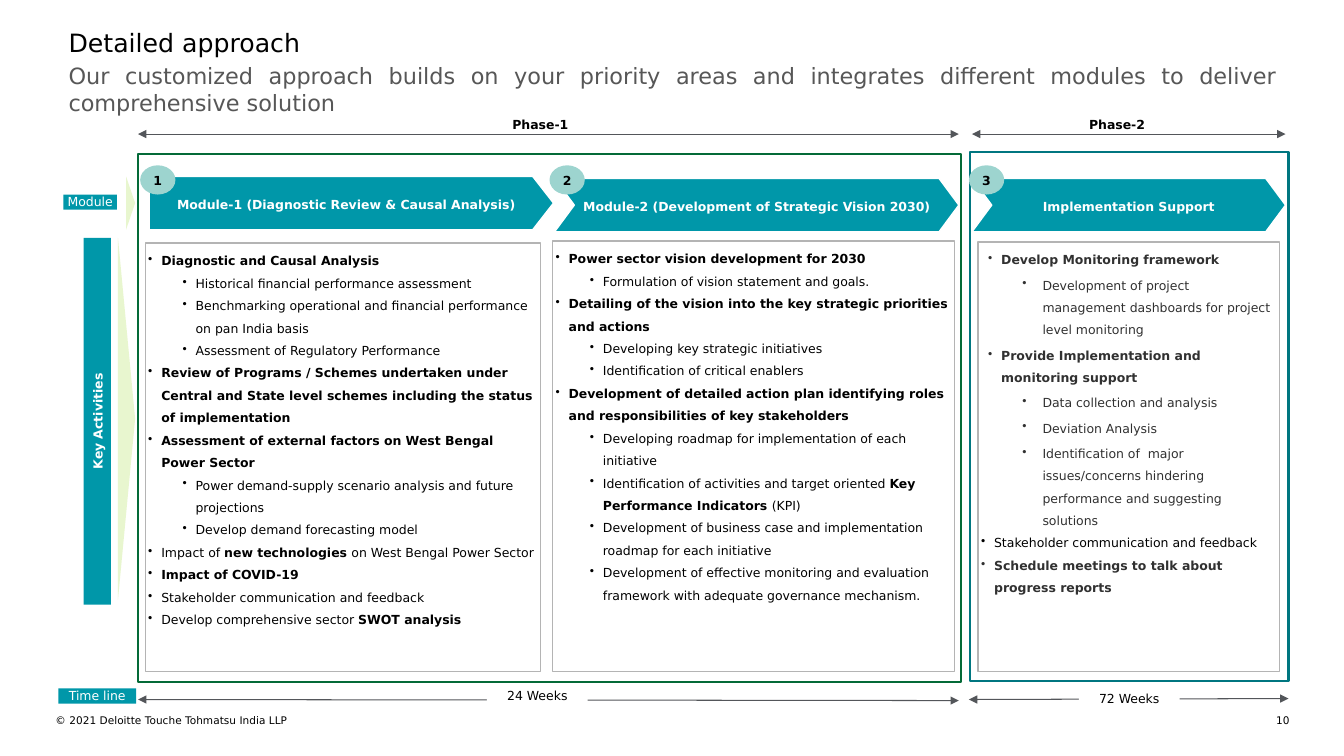
"""Builds the detailed approach slide: two phases, three modules and their activities."""
from lxml.etree import SubElement
from pptx import Presentation
from pptx.dml.color import RGBColor
from pptx.enum.shapes import MSO_CONNECTOR, MSO_SHAPE
from pptx.enum.text import MSO_ANCHOR, PP_ALIGN
from pptx.oxml.ns import qn
from pptx.util import Inches, Pt

FONT = "DejaVu Sans"
COLORS = {
    "teal": "0097A9", "deep_teal": "007680", "green": "046A38", "mint": "9DD4CF",
    "lime": "E8F6CF", "white": "FFFFFF", "black": "000000", "ink": "313131",
    "subtitle": "575757", "arrow": "53565A", "border": "B4B4B4",
}
# level, margin and hanging indent in grid units, space before in points, colour
BULLETS = {
    "main": (0, 1.3, 1.3, 0, "black"),
    "sub": (1, 4.7, 1.3, 0, "black"),
    "support": (0, 2, 1.3, 2, "ink"),
    "support_sub": (1, 6.1, 2, 2, "ink"),
    "meeting": (0, 1.3, 1.3, 0, "ink"),
}
DIAGNOSTIC = [
    ("main", "*Diagnostic and Causal Analysis*"),
    ("sub", "Historical financial performance assessment"),
    ("sub", "Benchmarking operational and financial performance on pan India basis"),
    ("sub", "Assessment of Regulatory Performance"),
    ("main", "*Review of Programs / Schemes undertaken under Central and State level "
             "schemes including the status of implementation*"),
    ("main", "*Assessment of external factors on West Bengal Power Sector*"),
    ("sub", "Power demand-supply scenario analysis and future projections"),
    ("sub", "Develop demand forecasting model"),
    ("main", "Impact of *new technologies *on West Bengal Power Sector"),
    ("main", "*Impact of COVID-19*"),
    ("main", "Stakeholder communication and feedback"),
    ("main", "Develop comprehensive sector *SWOT analysis*"),
]
VISION = [
    ("main", "*Power sector vision development for 2030*"),
    ("sub", "Formulation of vision statement and goals."),
    ("main", "*Detailing of the vision into the key strategic priorities and actions*"),
    ("sub", "Developing key strategic initiatives"),
    ("sub", "Identification of critical enablers"),
    ("main", "*Development of detailed action plan identifying roles and "
             "responsibilities of key stakeholders*"),
    ("sub", "Developing roadmap for implementation of each initiative"),
    ("sub", "Identification of activities and target oriented "
            "*Key Performance Indicators *(KPI)"),
    ("sub", "Development of business case and implementation roadmap for each initiative"),
    ("sub", "Development of effective monitoring and evaluation framework with "
            "adequate governance mechanism."),
]
SUPPORT = [
    ("support", "*Develop Monitoring framework*"),
    ("support_sub", "Development of project management dashboards for project level monitoring"),
    ("support", "*Provide Implementation and monitoring support*"),
    ("support_sub", "Data collection and analysis"),
    ("support_sub", "Deviation Analysis"),
    ("support_sub", "Identification of  major issues/concerns hindering performance "
                    "and suggesting solutions"),
    ("main", "Stakeholder communication and feedback"),
    ("meeting", "*Schedule meetings to talk about progress reports*"),
]


def grid(units):
    """Turn grid units, ten to the inch, into a length."""
    return Inches(units / 10)


def rgb(name):
    """Look up a named colour."""
    return RGBColor.from_string(COLORS[name])


def add_span(para, text, size=8.9, color="black", bold=False):
    """Add one formatted run to a paragraph."""
    span = para.add_run()
    span.text = text
    span.font.name = FONT
    span.font.size = Pt(size)
    span.font.bold = bold
    span.font.color.rgb = rgb(color)


def prepare_frame(box, inset=0, anchor=MSO_ANCHOR.TOP):
    """Set wrapping, insets and anchor of a box and return its text frame."""
    frame = box.text_frame
    frame.word_wrap = True
    frame.margin_left = frame.margin_right = grid(inset)
    frame.margin_top = frame.margin_bottom = grid(inset)
    frame.vertical_anchor = anchor
    return frame


def write(box, text, align=PP_ALIGN.CENTER, inset=0, anchor=MSO_ANCHOR.TOP,
          spacing=1.0, **style):
    """Write one formatted paragraph into a box."""
    para = prepare_frame(box, inset, anchor).paragraphs[0]
    para.alignment = align
    para.line_spacing = spacing
    add_span(para, text, **style)


def add_text(page, place, text, **style):
    """Add a text box at a place on the grid."""
    write(page.shapes.add_textbox(*map(grid, place)), text, **style)


def add_block(page, place, kind=MSO_SHAPE.RECTANGLE, fill=None, line=None, weight=1):
    """Add a preset shape at a place on the grid."""
    block = page.shapes.add_shape(kind, *map(grid, place))
    block.shadow.inherit = False
    if fill:
        block.fill.solid()
        block.fill.fore_color.rgb = rgb(fill)
    else:
        block.fill.background()
    if line:
        block.line.color.rgb = rgb(line)
        block.line.width = Pt(weight)
    else:
        block.line.fill.background()
    return block


def add_label(page, place, text, fill="white", **style):
    """Add a small filled label."""
    write(add_block(page, place, fill=fill), text, **style)


def add_banner(page, place, kind, notch, text):
    """Add the arrow-shaped heading of a module."""
    banner = add_block(page, place, kind, "teal", "white")
    banner.adjustments[0] = notch
    write(banner, text, inset=0.3, anchor=MSO_ANCHOR.MIDDLE, spacing=1.15,
          color="white", bold=True)


def add_badge(page, left, number):
    """Add a numbered oval."""
    badge = add_block(page, (left, 16.4, 3.5, 2.9), MSO_SHAPE.OVAL, "mint")
    write(badge, number, anchor=MSO_ANCHOR.MIDDLE, spacing=1.06, bold=True)


def add_pointer(page, left, top, width, height):
    """Add a triangle that points right and fills the given area."""
    shift = (height - width) / 2
    place = (left - shift, top + shift, height, width)
    add_block(page, place, MSO_SHAPE.ISOSCELES_TRIANGLE, "lime").rotation = 90


def add_activities(page, place, activities):
    """Add a bordered panel of bullets; text between asterisks is bold."""
    frame = prepare_frame(add_block(page, place, fill="white", line="border"), 0.3)
    for index, (kind, text) in enumerate(activities):
        level, margin, hanging, before, color = BULLETS[kind]
        para = frame.add_paragraph() if index else frame.paragraphs[0]
        para.alignment = PP_ALIGN.LEFT
        para.level = level
        para.line_spacing = 1.5
        para.space_before = Pt(before if index else 0)
        properties = para._p.get_or_add_pPr()
        properties.set("marL", str(grid(margin)))
        properties.set("indent", str(-grid(hanging)))
        SubElement(properties, qn("a:buChar"), char="•")
        for part, words in enumerate(text.split("*")):
            if words:
                add_span(para, words, color=color, bold=part % 2 == 1)


def add_arrow(page, start, end):
    """Add a thin line with arrowheads at both ends."""
    arrow = page.shapes.add_connector(MSO_CONNECTOR.STRAIGHT, *map(grid, start + end))
    arrow.line.color.rgb = rgb("arrow")
    arrow.line.width = Pt(0.75)
    outline = arrow.line._get_or_add_ln()
    for tip in ("a:headEnd", "a:tailEnd"):
        SubElement(outline, qn(tip), type="triangle")
    SubElement(arrow._element.spPr, qn("a:effectLst"))


def main():
    """Build and save the slide."""
    deck = Presentation()
    deck.slide_width, deck.slide_height = grid(133.3), grid(75)
    page = deck.slides.add_slide(deck.slide_layouts[6])

    add_text(page, (6.8, 2.7, 92.3, 2.5), "Detailed approach", align=PP_ALIGN.LEFT, size=18)
    add_text(page, (6.8, 6.2, 119.9, 1.9),
             "Our customized approach builds on your priority areas and integrates "
             "different modules to deliver comprehensive solution",
             align=PP_ALIGN.JUSTIFY, size=16, color="subtitle")

    add_block(page, (13.7, 15.3, 81.6, 52.4), line="green", weight=1.5)
    add_block(page, (96.2, 15.1, 31.6, 52.5), line="deep_teal", weight=1.5)
    for start, end in (((13.7, 13.3), (95.1, 13.3)), ((96.4, 13.3), (127.5, 13.3)),
                       ((13.7, 69.4), (95.1, 69.5)), ((96.1, 69.4), (127.8, 69.3))):
        add_arrow(page, start, end)
    for left, top, text, bold in ((48.6, 11.6, "Phase-1", True), (105.8, 11.6, "Phase-2", True),
                                  (48.3, 68.3, "24 Weeks", False), (107, 68.6, "72 Weeks", False)):
        add_label(page, (left, top, 10, 1.5), text, bold=bold)

    add_label(page, (6.3, 19.3, 5.3, 1.5), "Module", fill="teal", color="white")
    add_label(page, (5.8, 68.3, 7.7, 1.5), "Time line", fill="teal", color="white")
    side = add_block(page, (8.3, 23.6, 2.7, 36.4), fill="teal")
    write(side, "Key Activities", anchor=MSO_ANCHOR.MIDDLE, spacing=1.06,
          color="white", bold=True)
    side.text_frame._txBody.bodyPr.set("vert", "vert270")
    add_pointer(page, 12.5, 17.5, 0.9, 5.3)
    add_pointer(page, 11.7, 23.6, 1.7, 35.9)

    add_banner(page, (14.8, 17.5, 40.1, 5.3), MSO_SHAPE.PENTAGON, 0.39,
               "Module-1 (Diagnostic Review & Causal Analysis)")
    add_banner(page, (55, 17.7, 40.1, 5.3), MSO_SHAPE.CHEVRON, 0.37,
               "Module-2 (Development of Strategic Vision 2030)")
    add_banner(page, (96.4, 17.7, 31.1, 5.3), MSO_SHAPE.CHEVRON, 0.37, "Implementation Support")
    for number, left in enumerate((13.9, 54.5, 96.1), 1):
        add_badge(page, left, str(number))
    add_activities(page, (14.4, 24.1, 39.2, 42.5), DIAGNOSTIC)
    add_activities(page, (54.8, 23.9, 39.9, 42.7), VISION)
    add_activities(page, (97, 24, 29.9, 42.6), SUPPORT)

    add_text(page, (5.5, 70.8, 58.6, 2.2), "© 2021 Deloitte Touche Tohmatsu India LLP",
             align=PP_ALIGN.LEFT, size=7.5)
    add_text(page, (124.5, 70.8, 3.4, 1.1), "10", align=PP_ALIGN.RIGHT, size=7.5)
    deck.save("out.pptx")


if __name__ == "__main__":
    main()
